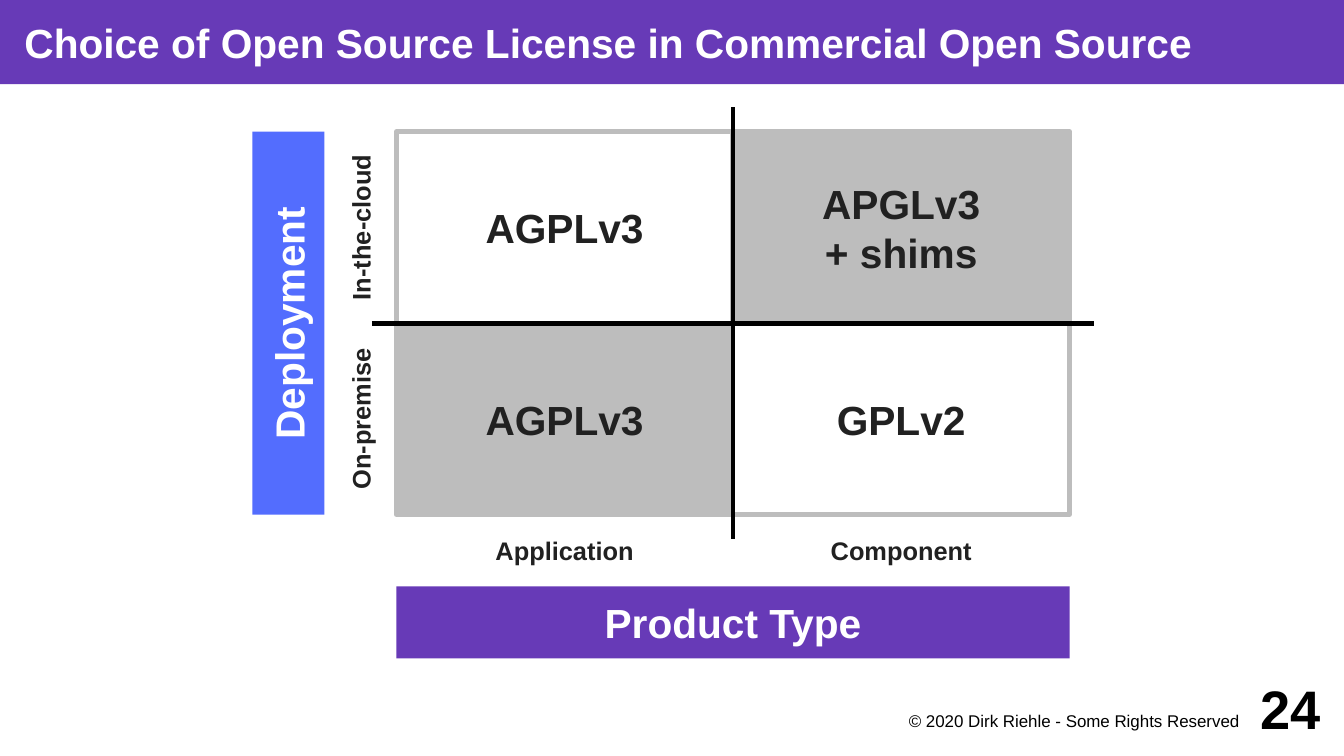
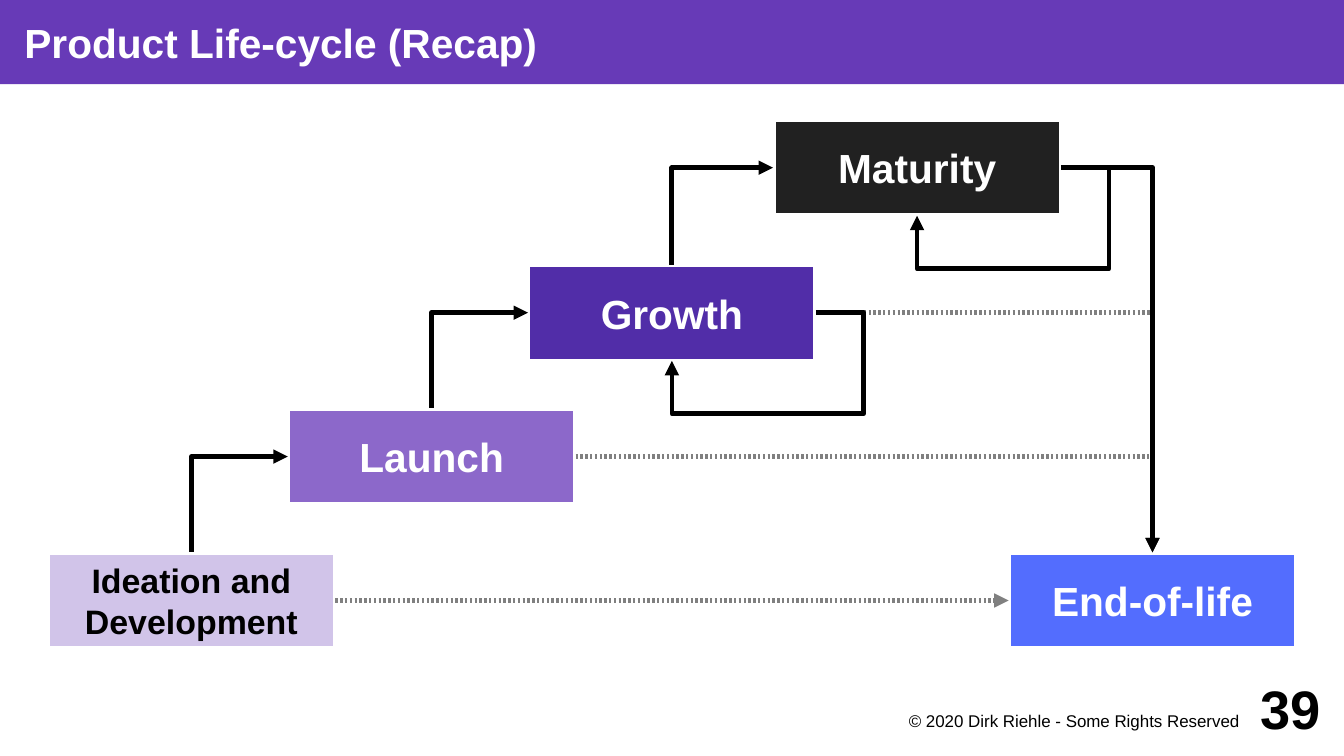
from pptx import Presentation
from pptx.dml.color import RGBColor
from pptx.enum.shapes import MSO_CONNECTOR, MSO_SHAPE
from pptx.enum.text import MSO_ANCHOR, MSO_AUTO_SIZE, PP_ALIGN
from pptx.oxml.ns import qn
from pptx.util import Inches, Pt
from lxml import etree

RECT = MSO_SHAPE.RECTANGLE
STRAIGHT, ELBOW = MSO_CONNECTOR.STRAIGHT, MSO_CONNECTOR.ELBOW
LEFT, CENTER, RIGHT = PP_ALIGN.LEFT, PP_ALIGN.CENTER, PP_ALIGN.RIGHT
TOP, MIDDLE = MSO_ANCHOR.TOP, MSO_ANCHOR.MIDDLE
SIDE_TOP, SIDE_LEFT, SIDE_BOTTOM, SIDE_RIGHT = range(4)

WHITE = RGBColor(0xFF, 0xFF, 0xFF)
BLACK = RGBColor(0x00, 0x00, 0x00)
INK = RGBColor(0x21, 0x21, 0x21)
GRAY = RGBColor(0x80, 0x80, 0x80)
SILVER = RGBColor(0xBD, 0xBD, 0xBD)
PURPLE = RGBColor(0x67, 0x3A, 0xB7)
DEEP_PURPLE = RGBColor(0x51, 0x2D, 0xA8)
MID_PURPLE = RGBColor(0x8C, 0x68, 0xCA)
PALE_PURPLE = RGBColor(0xD1, 0xC4, 0xE9)
BLUE = RGBColor(0x53, 0x6D, 0xFE)

FONT = "Arial"
LINE_WIDTH = Pt(2.83)
SLIDE_W, SLIDE_H = 11.02, 6.2


def put_text(sp, text, size=24, color=INK, bold=True, align=CENTER,
             anchor=MIDDLE, insets=(0, 0, 0, 0), wrap=True):
    """Write text into a shape, one paragraph per line."""
    tf = sp.text_frame
    tf.auto_size = MSO_AUTO_SIZE.NONE
    tf.word_wrap = wrap
    tf.vertical_anchor = anchor
    tf.margin_left, tf.margin_top, tf.margin_right, tf.margin_bottom = map(Inches, insets)
    for i, line in enumerate(text.split("\n")):
        p = tf.paragraphs[0] if i == 0 else tf.add_paragraph()
        p.alignment = align
        r = p.add_run()
        r.text = line
        r.font.name, r.font.size = FONT, Pt(size)
        r.font.bold, r.font.color.rgb = bold, color


def add_box(s, box, text, fill, border=None, rotation=0, **fmt):
    sp = s.shapes.add_shape(RECT, *map(Inches, box))
    sp.shadow.inherit = False
    sp.rotation = rotation
    sp.fill.solid()
    sp.fill.fore_color.rgb = fill
    if border is None:
        sp.line.fill.background()
    else:
        sp.line.color.rgb = border
        sp.line.width = LINE_WIDTH
    put_text(sp, text, **fmt)
    return sp


def add_label(s, box, text, rotation=0, **fmt):
    sp = s.shapes.add_textbox(*map(Inches, box))
    sp.rotation = rotation
    put_text(sp, text, **fmt)


def add_line(s, kind=STRAIGHT, ends=(0, 0, 0, 0), start=None, end=None,
             preset=None, adjust=(), color=BLACK, dotted=False, arrow=None):
    """Draw a connector; start and end are (shape, side) pairs to join."""
    cx = s.shapes.add_connector(kind, *map(Inches, ends))
    if start:
        cx.begin_connect(*start)
    if end:
        cx.end_connect(*end)
    cx.line.color.rgb = color
    cx.line.width = LINE_WIDTH
    sp_pr = cx.element.spPr
    if preset:
        geom = sp_pr.find(qn("a:prstGeom"))
        geom.set("prst", preset)
        guides = geom.find(qn("a:avLst"))
        for i, value in enumerate(adjust, 1):
            etree.SubElement(guides, qn("a:gd"), name=f"adj{i}", fmla=f"val {value}")
    ln = sp_pr.find(qn("a:ln"))
    if dotted:
        dash = etree.SubElement(ln, qn("a:custDash"))
        etree.SubElement(dash, qn("a:ds"), d="50000", sp="50000")
    if arrow:
        etree.SubElement(ln, qn(f"a:{arrow}"), type="triangle")
    etree.SubElement(sp_pr, qn("a:effectLst"))


def add_slide(prs, title, number):
    """Title band, copyright line and page number."""
    s = prs.slides.add_slide(prs.slide_layouts[5])
    band = s.shapes.title
    band.left, band.top, band.width, band.height = map(Inches, (0, 0, SLIDE_W, 0.69))
    band.fill.solid()
    band.fill.fore_color.rgb = PURPLE
    put_text(band, title, color=WHITE, align=LEFT, insets=(0.2, 0, 0, 0))
    add_label(s, (7.09, 5.81, 3.15, 0.3), "© 2020 Dirk Riehle - Some Rights Reserved",
              size=10, color=BLACK, bold=False, align=RIGHT, anchor=TOP,
              insets=(0, 0.02, 0.08, 0))
    add_label(s, (10.04, 5.51, 0.79, 0.59), str(number), size=32, color=BLACK, align=RIGHT)
    return s


def draw_matrix(s, left, top, cell_w, cell_h):
    """Two-by-two matrix with axis bars and a cross."""
    bar, gap, reach = 0.59, 0.59, 0.2
    mid_x, mid_y = left + cell_w, top + cell_h
    width, height = 2 * cell_w, 2 * cell_h

    # Cells: the silver diagonal lies below the white one
    cells = [("AGPLv3", 0, 1, SILVER), ("APGLv3\n+ shims", 1, 0, SILVER),
             ("AGPLv3", 0, 0, WHITE), ("GPLv2", 1, 1, WHITE)]
    for text, col, row, fill in cells:
        add_box(s, (left + col * cell_w, top + row * cell_h, cell_w, cell_h),
                text, fill, border=SILVER, wrap=False)

    # Column and row labels
    for i, (column, row) in enumerate([("Application", "In-the-cloud"),
                                       ("Component", "On-premise")]):
        add_label(s, (left + i * cell_w, top + height, cell_w, gap), column, size=15)
        center_y = top + (i + 0.5) * cell_h
        add_label(s, (left - gap / 2 - cell_h / 2, center_y - gap / 2, cell_h, gap),
                  row, size=15, rotation=270)

    # Axis bars
    add_box(s, (left, top + height + gap, width, bar), "Product Type", PURPLE, color=WHITE)
    add_box(s, (left - gap - bar / 2 - height / 2, mid_y - bar / 2, height, bar),
            "Deployment", BLUE, rotation=270, color=WHITE)

    # Cross
    add_line(s, ends=(left - reach, mid_y, left + width + reach, mid_y))
    add_line(s, ends=(mid_x, top + height + reach, mid_x, top - reach))


def draw_life_cycle(s, left, top):
    """Staircase of phases leading to the end of life."""
    phases = [("Ideation and\nDevelopment", 0, 3.55, PALE_PURPLE, BLACK, 20),
              ("Launch", 1.97, 2.37, MID_PURPLE, WHITE, 24),
              ("Growth", 3.94, 1.19, DEEP_PURPLE, WHITE, 24),
              ("Maturity", 5.95, 0, INK, WHITE, 24),
              ("End-of-life", 7.88, 3.55, BLUE, WHITE, 24)]
    boxes = [add_box(s, (left + x, top + y, 2.36, 0.79), text, fill, border=WHITE,
                     color=color, size=size, wrap=False)
             for text, x, y, fill, color, size in phases]
    ideation, launch, growth, maturity, end_of_life = boxes
    stages = boxes[:4]

    # Steps up: each runs from the next phase's left side to the phase below
    for lower, upper in zip(stages, stages[1:]):
        add_line(s, ELBOW, start=(upper, SIDE_LEFT), end=(lower, SIDE_TOP),
                 preset="bentConnector2", arrow="headEnd")

    # Ways to the end of life
    add_line(s, start=(ideation, SIDE_RIGHT), end=(end_of_life, SIDE_LEFT),
             color=GRAY, dotted=True, arrow="tailEnd")
    for phase in (launch, growth, maturity):
        early = phase is not maturity
        add_line(s, ELBOW, start=(phase, SIDE_RIGHT), end=(end_of_life, SIDE_TOP),
                 preset="bentConnector2", color=GRAY if early else BLACK,
                 dotted=early, arrow="tailEnd")

    # Loops back into the same phase
    for phase in (growth, maturity):
        add_line(s, ELBOW, start=(phase, SIDE_RIGHT), end=(phase, SIDE_BOTTOM),
                 preset="bentConnector4", adjust=(-33300, 210000), arrow="tailEnd")


def main():
    prs = Presentation()
    prs.slide_width, prs.slide_height = Inches(SLIDE_W), Inches(SLIDE_H)
    s = add_slide(prs, "Choice of Open Source License in Commercial Open Source", 24)
    draw_matrix(s, 3.25, 1.08, 2.76, 1.57)
    s = add_slide(prs, "Product Life-cycle (Recap)", 39)
    draw_life_cycle(s, 0.39, 0.98)
    prs.save("out.pptx")


if __name__ == "__main__":
    main()
